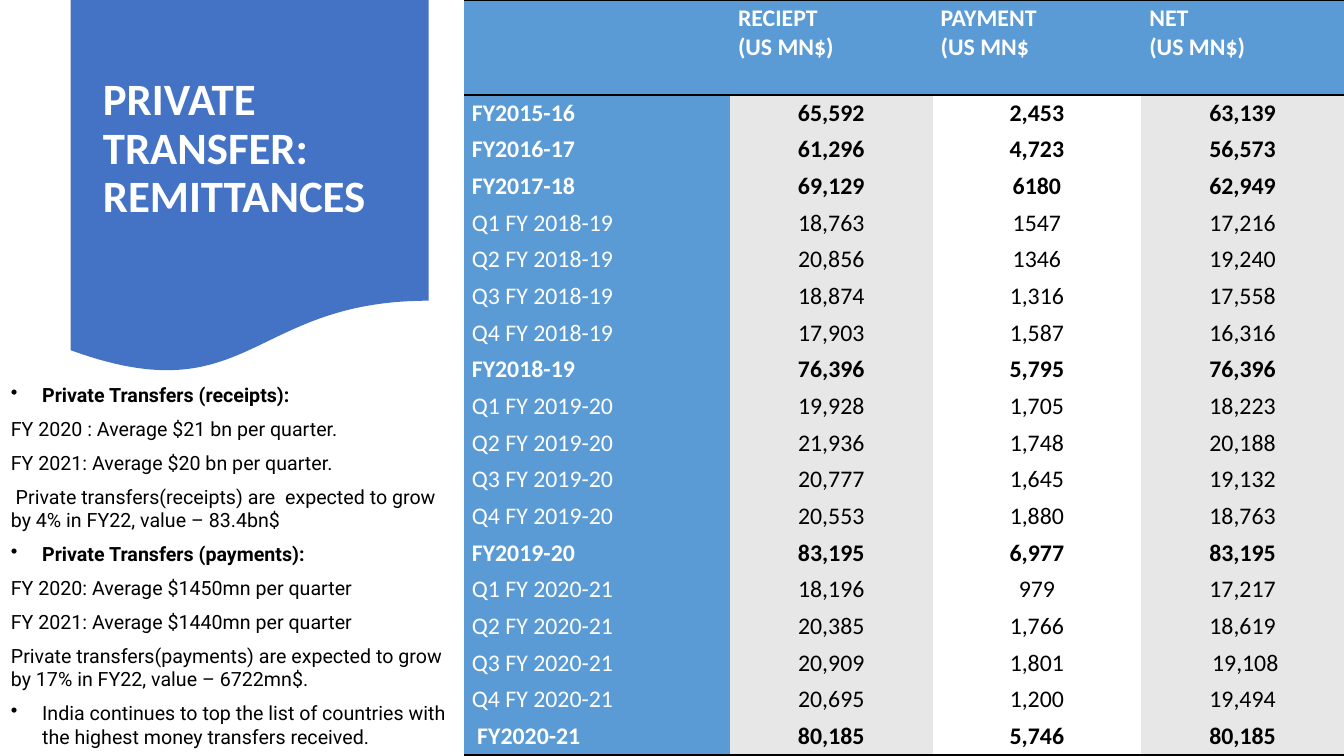
import pptx
import pptx.dml.color
import pptx.enum.shapes
import pptx.enum.text
import pptx.oxml
import pptx.oxml.ns
import pptx.util
from dataclasses import dataclass

Inches, Pt = pptx.util.Inches, pptx.util.Pt
RGB = pptx.dml.color.RGBColor.from_string
ALIGN, ANCHOR = pptx.enum.text.PP_ALIGN, pptx.enum.text.MSO_ANCHOR
AUTO_SIZE = pptx.enum.text.MSO_AUTO_SIZE


@dataclass(frozen=True)
class Theme:
    white: str = "FFFFFF"
    black: str = "000000"
    banner: str = "4472C4"
    heading: str = "5B9BD5"
    band: str = "E7E7E7"
    title_font: str = "Calibri"
    outlook_font: str = "Roboto"
    title_size: float = 32
    table_size: float = 17
    outlook_size: float = 14
    outlook_gap: float = 7.4
    rule_width: float = 2


THEME = Theme()
NO_GRID_STYLE = "{2D5ABB26-0587-4C30-8999-92F81FD0307C}"

TITLE = "PRIVATE TRANSFER:\vREMITTANCES"
HEADINGS = ["", "RECIEPT\n(US MN$)", "PAYMENT\n(US MN$", "NET\n(US MN$)"]
REMITTANCES = [
    ("FY2015-16", "65,592", "2,453", "63,139"),
    ("FY2016-17", "61,296", "4,723", "56,573"),
    ("FY2017-18", "69,129", "6180", "62,949"),
    ("Q1 FY 2018-19", "18,763", "1547", "17,216"),
    ("Q2 FY 2018-19", "20,856", "1346", "19,240"),
    ("Q3 FY 2018-19", "18,874", "1,316", "17,558"),
    ("Q4 FY 2018-19", "17,903", "1,587", "16,316"),
    ("FY2018-19", "76,396", "5,795", "76,396"),
    ("Q1 FY 2019-20", "19,928", "1,705", "18,223"),
    ("Q2 FY 2019-20", "21,936", "1,748", "20,188"),
    ("Q3 FY 2019-20", "20,777", "1,645", "19,132"),
    ("Q4 FY 2019-20", "20,553", "1,880", "18,763"),
    ("FY2019-20", "83,195", "6,977", "83,195"),
    ("Q1 FY 2020-21", "18,196", "979", "17,217"),
    ("Q2 FY 2020-21", "20,385", "1,766", "18,619"),
    ("Q3 FY 2020-21", "20,909", "1,801", " 19,108"),
    ("Q4 FY 2020-21", "20,695", "1,200", "19,494"),
    (" FY2020-21", "80,185", "5,746", "80,185"),
]
# Each statement: text, bulleted, bold
OUTLOOK = [
    ("Private Transfers (receipts):", True, True),
    ("FY 2020 : Average $21 bn per quarter.", False, False),
    ("FY 2021: Average $20 bn per quarter.", False, False),
    (" Private transfers(receipts) are  expected to grow by 4% in FY22, value – 83.4bn$", False, False),
    ("Private Transfers (payments):", True, True),
    ("FY 2020: Average $1450mn per quarter", False, False),
    ("FY 2021: Average $1440mn per quarter", False, False),
    ("Private transfers(payments) are expected to grow by 17% in FY22, value – 6722mn$.", False, False),
    ("India continues to top the list of countries with the highest money transfers received.", True, False),
]


def apply(target, values):
    for name, value in values.items():
        setattr(target, name, value)


def set_font(paragraph, name, size, color, bold):
    apply(paragraph.font, {"name": name, "size": Pt(size), "bold": bold})
    paragraph.font.color.rgb = RGB(color)


def add_rules(cell, sides):
    """Draw black rules on the given sides ("T", "B") of a cell."""
    properties = cell._tc.get_or_add_tcPr()
    for position, side in enumerate(sides):
        rule = pptx.oxml.parse_xml(
            f'<a:ln{side} {pptx.oxml.ns.nsdecls("a")} w="{Pt(THEME.rule_width)}"><a:solidFill>'
            f'<a:srgbClr val="{THEME.black}"/></a:solidFill></a:ln{side}>')
        properties.insert(position, rule)


def add_banner(slide, left, top, width, height):
    banner = slide.shapes.add_shape(
        pptx.enum.shapes.MSO_SHAPE.FLOWCHART_DOCUMENT, left, top, width, height)
    banner.shadow.inherit = False
    banner.fill.solid()
    banner.fill.fore_color.rgb = RGB(THEME.banner)
    banner.line.fill.background()

    # Title sits in front of the banner
    title = slide.shapes.title
    banner._element.addnext(title._element)
    apply(title, {"left": left + Inches(0.22), "top": top + Inches(0.19),
                  "width": width - Inches(0.44), "height": Inches(2.59)})
    title.text_frame.text = TITLE
    apply(title.text_frame, {"word_wrap": True, "auto_size": AUTO_SIZE.NONE,
                             "vertical_anchor": ANCHOR.MIDDLE})
    heading = title.text_frame.paragraphs[0]
    apply(heading, {"alignment": ALIGN.LEFT, "line_spacing": 0.9})
    set_font(heading, THEME.title_font, THEME.title_size, THEME.white, True)


def add_remittance_table(slide, left, top, width, height):
    rows = [HEADINGS, *REMITTANCES]
    table = slide.shapes.add_table(len(rows), len(HEADINGS), left, top, width, height).table
    apply(table, {"first_row": False, "horz_banding": False})
    table._tbl.tblPr[0].text = NO_GRID_STYLE

    for column, share in zip(table.columns, (2.64, 2.01, 2.07, 2.01)):
        column.width = int(width * share / 8.73)
    header_height = Inches(0.94)
    table.rows[0].height = header_height
    for row in list(table.rows)[1:]:
        row.height = (height - header_height) // len(REMITTANCES)

    column_fills = (THEME.heading, THEME.band, THEME.white, THEME.band)
    for r, values in enumerate(rows):
        header, yearly = r == 0, values[0].strip().startswith("FY")
        for c, value in enumerate(values):
            cell = table.cell(r, c)
            on_blue = header or c == 0
            margin = Inches(0.04 if header else 0.03)
            apply(cell, {"text": value, "margin_left": Inches(0.08), "margin_right": Inches(0.08),
                         "margin_top": margin, "margin_bottom": margin,
                         "vertical_anchor": ANCHOR.TOP if header else ANCHOR.MIDDLE})
            cell.fill.solid()
            cell.fill.fore_color.rgb = RGB(THEME.heading if header else column_fills[c])
            for paragraph in cell.text_frame.paragraphs:
                paragraph.alignment = ALIGN.LEFT if on_blue else ALIGN.CENTER
                set_font(paragraph, THEME.title_font, THEME.table_size,
                         THEME.white if on_blue else THEME.black, header or yearly)
            if header:
                add_rules(cell, "TB")
            elif r == len(rows) - 1:
                add_rules(cell, "B")


def add_outlook(slide, left, top, width, height):
    frame = slide.shapes.add_textbox(left, top, width, height).text_frame
    apply(frame, {"word_wrap": True, "auto_size": AUTO_SIZE.SHAPE_TO_FIT_TEXT})
    indent = Inches(0.31)
    for number, (statement, bulleted, bold) in enumerate(OUTLOOK):
        paragraph = frame.add_paragraph() if number else frame.paragraphs[0]
        paragraph.text = statement
        if bulleted:
            properties = paragraph._p.get_or_add_pPr()
            properties.set("marL", str(indent))
            properties.set("indent", str(-indent))
            properties.append(pptx.oxml.parse_xml(
                f'<a:buChar {pptx.oxml.ns.nsdecls("a")} char="•"/>'))
        if number:
            paragraph.space_before = Pt(THEME.outlook_gap)
        set_font(paragraph, THEME.outlook_font, THEME.outlook_size, THEME.black, bold)


def main():
    deck = pptx.Presentation()
    apply(deck, {"slide_width": Inches(13.33), "slide_height": Inches(7.5)})
    slide = deck.slides.add_slide(deck.slide_layouts[5])
    add_banner(slide, Inches(0.7), Inches(0), Inches(3.55), Inches(3.72))
    add_remittance_table(slide, Inches(4.6), Inches(0), Inches(8.73), Inches(7.49))
    add_outlook(slide, Inches(0.01), Inches(3.75), Inches(4.6), Inches(4.22))
    deck.save("out.pptx")


if __name__ == "__main__":
    main()
